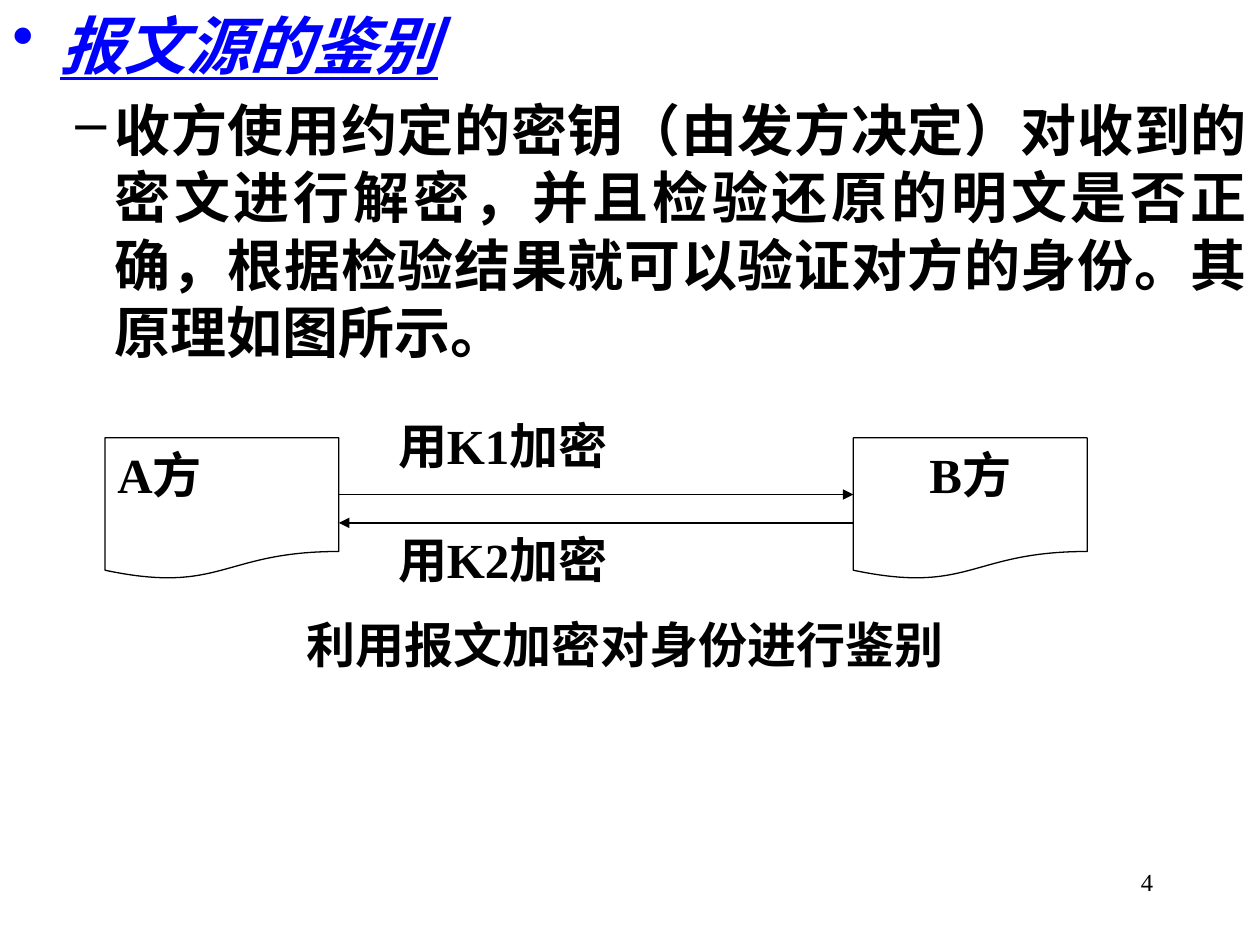
from lxml.etree import SubElement as Sub
from pptx import Presentation
from pptx.dml.color import RGBColor as Rgb
from pptx.enum.shapes import MSO_CONNECTOR as Link, MSO_SHAPE as Form
from pptx.enum.text import MSO_ANCHOR as Anchor, PP_ALIGN as Align
from pptx.oxml.ns import qn
from pptx.util import Inches, Pt

COLORS = {"ink": "000000", "paper": "FFFFFF", "head": "0000FF"}
FONT = "Times New Roman"
COLS, ROWS = 22, 10


def color(name):
    return Rgb.from_string(COLORS[name])


def write(para, text, size, align, ink="ink", bold=True):
    para.text = text
    para.alignment = align
    font = para.font
    font.name, font.size, font.bold = FONT, Pt(size), bold
    font.color.rgb = color(ink)
    return font


def bullet(para, char, ink, left, hang):
    """Add a bullet, and keep punctuation inside the margin."""
    props = para._p.get_or_add_pPr()
    props.set("marL", str(Inches(left)))
    props.set("indent", str(-Inches(hang)))
    props.set("hangingPunct", "0")
    Sub(Sub(props, qn("a:buClr")), qn("a:srgbClr"), val=COLORS[ink])
    Sub(props, qn("a:buChar"), char=char)


def label(shapes, box, text, size, align, bold=True):
    frame = shapes.add_textbox(*box).text_frame
    frame.word_wrap = True
    write(frame.paragraphs[0], text, size, align, bold=bold)


def body(shapes, box):
    frame = shapes.add_textbox(*box).text_frame
    frame.word_wrap = True
    head = frame.paragraphs[0]
    bullet(head, "•", "head", 0.38, 0.38)
    font = write(head, "报文源的鉴别", 36, Align.JUSTIFY, "head")
    font.italic = font.underline = True
    item = frame.add_paragraph()
    item.level = 1
    bullet(item, "–", "ink", 0.81, 0.31)
    item.space_before = Pt(8)
    write(item, "收方使用约定的密钥（由发方决定）对收到的密文进行解密，"
          "并且检验还原的明文是否正确，根据检验结果就可以验证对方的身份。"
          "其原理如图所示。", 32, Align.JUSTIFY)


def party(shapes, box, text, align):
    shape = shapes.add_shape(Form.FLOWCHART_DOCUMENT, *box)
    shape.shadow.inherit = False
    shape.fill.solid()
    shape.fill.fore_color.rgb = color("paper")
    shape.line.color.rgb = color("ink")
    shape.line.width = Pt(0.75)
    frame = shape.text_frame
    frame.word_wrap = True
    frame.vertical_anchor = Anchor.TOP
    write(frame.paragraphs[0], text, 28, align)


def arrow(shapes, start, end):
    link = shapes.add_connector(Link.STRAIGHT, *start, *end)
    link.line.color.rgb = color("ink")
    link.line.width = Pt(0.75)
    Sub(link.line._get_or_add_ln(), qn("a:tailEnd"), type="triangle")
    Sub(link._element.spPr, qn("a:effectLst"))


def diagram(shapes, box):
    """Two parties trading messages, on a grid of COLS by ROWS."""
    left, top, width, height = box

    def spot(col, row):
        return left + width * col // COLS, top + height * row // ROWS

    def cell(col, row, wide, tall):
        return *spot(col, row), width * wide // COLS, height * tall // ROWS

    group = shapes.add_group_shape().shapes
    party(group, cell(0, 1, 5, 5), "A方", Align.JUSTIFY)
    party(group, cell(16, 1, 5, 5), "B方", Align.CENTER)
    arrow(group, spot(5, 3), spot(16, 3))
    arrow(group, spot(16, 4), spot(5, 4))
    for row, text in ((0, "用K1加密"), (4, "用K2加密")):
        label(group, cell(6, row, 8, 3), text, 28, Align.JUSTIFY)
    label(group, cell(0, 7, COLS, 3), " 利用报文加密对身份进行鉴别",
          28, Align.CENTER)


def main():
    deck = Presentation()
    deck.slide_width, deck.slide_height = Inches(10), Inches(7.5)
    wide, high = deck.slide_width, deck.slide_height
    shapes = deck.slides.add_slide(deck.slide_layouts[6]).shapes

    def area(left, top, width, height):
        """Turn shares of the slide into lengths."""
        return (int(left * wide), int(top * high),
                int(width * wide), int(height * high))

    body(shapes, area(0, 0, 1, 1))
    diagram(shapes, area(1 / 12, 13 / 30, 49 / 60, 0.3))
    label(shapes, area(43 / 60, 41 / 45, 5 / 24, 1 / 15), "4", 14,
          Align.RIGHT, bold=False)
    deck.save("out.pptx")


if __name__ == "__main__":
    main()
